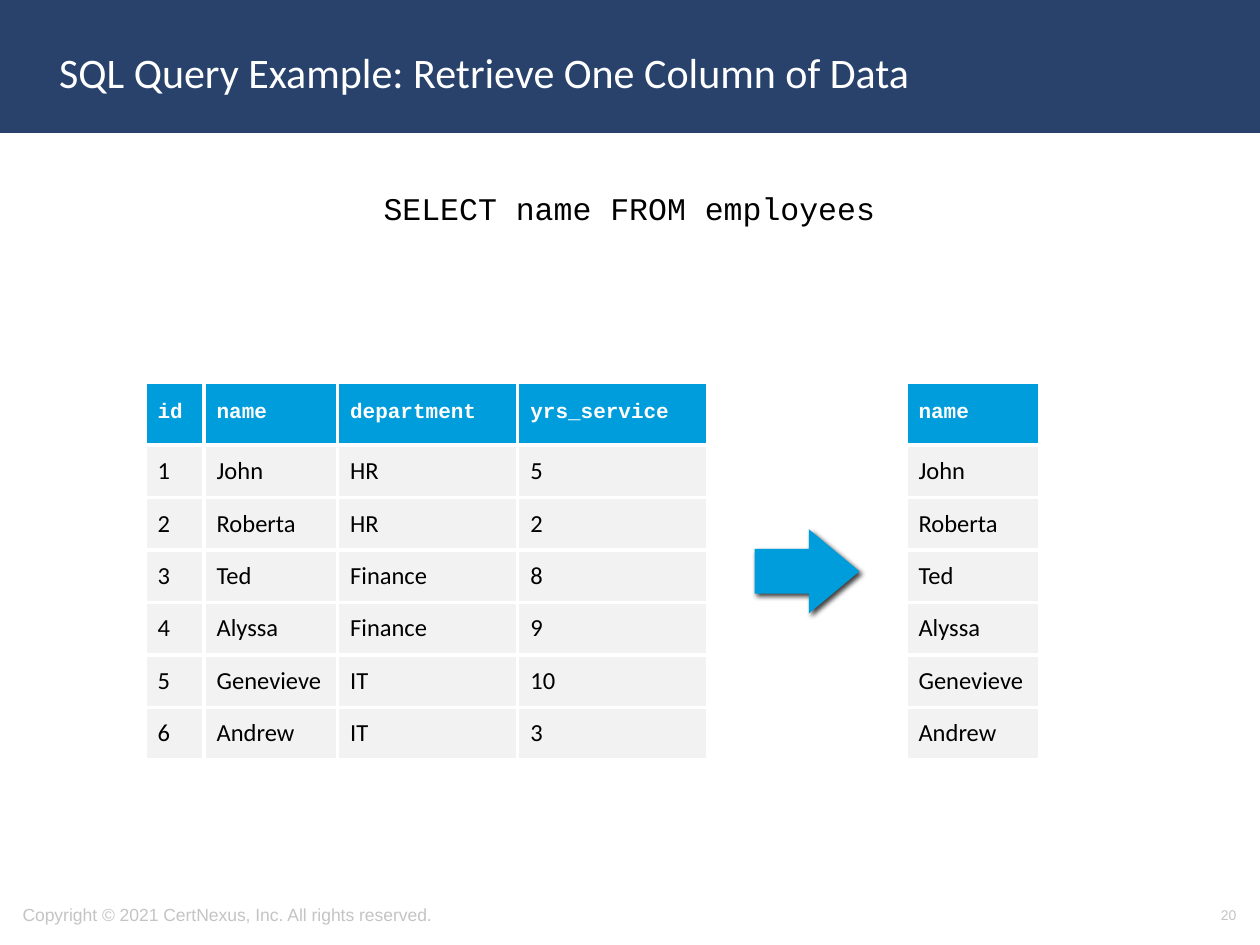
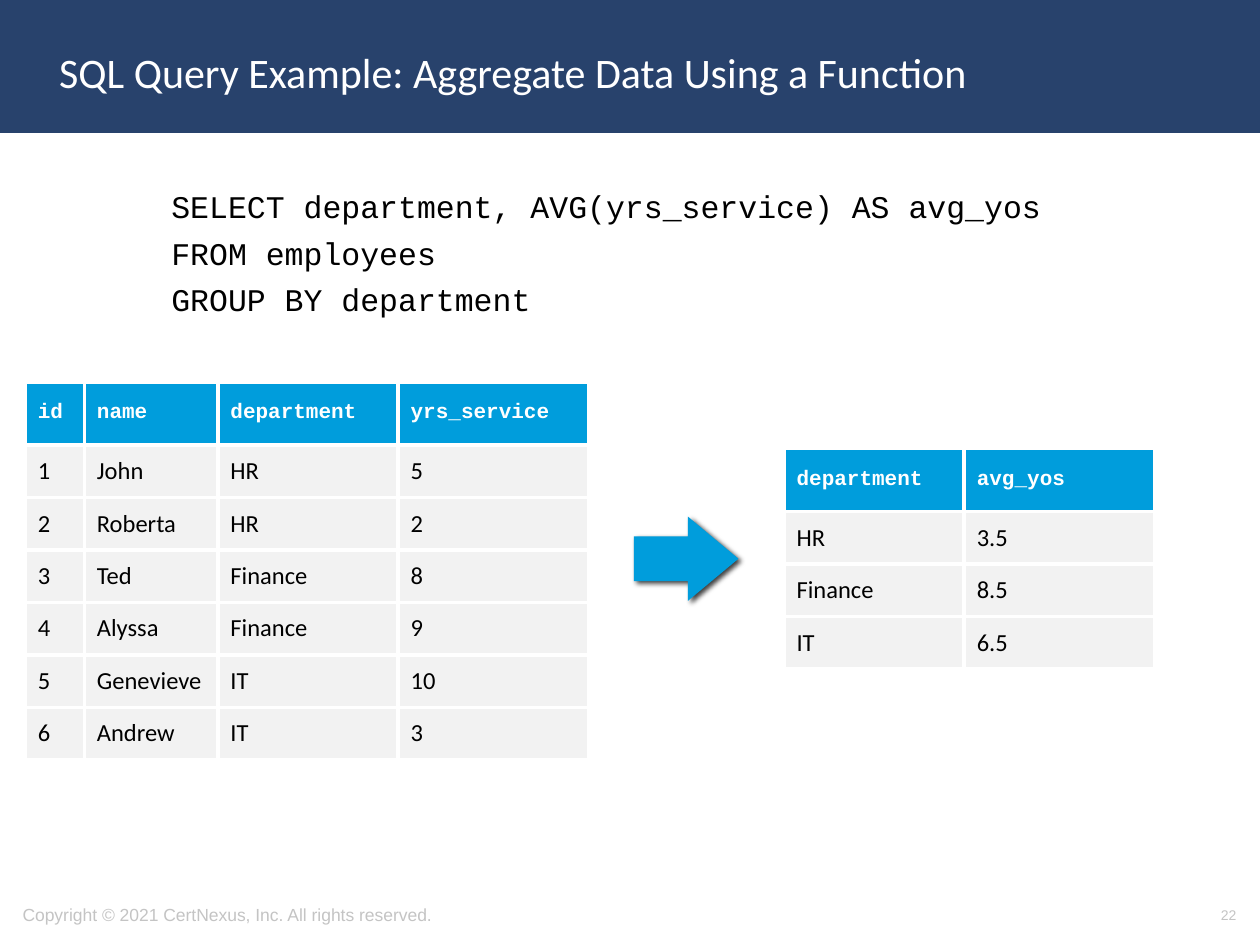
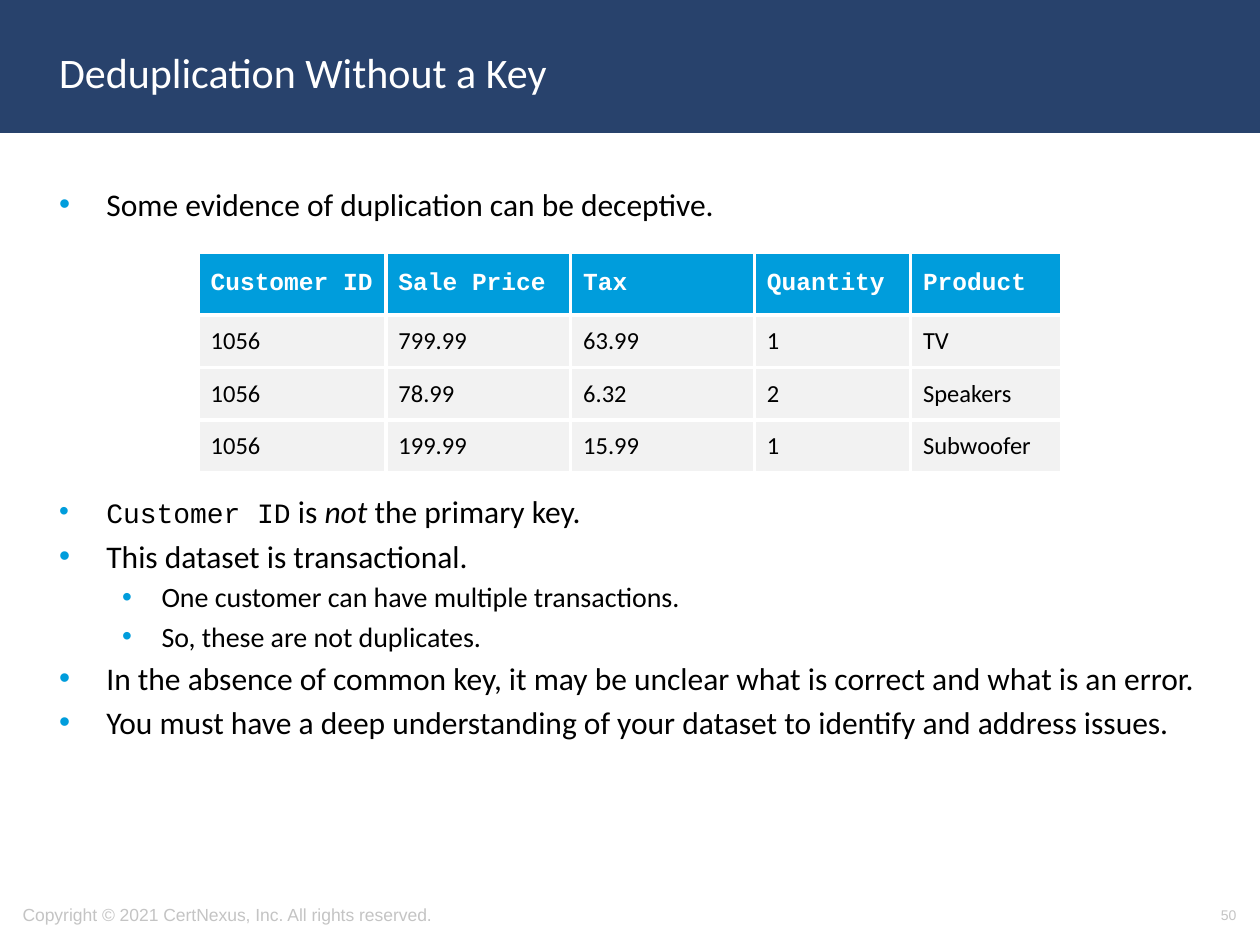
"""Build three slides on queries and data cleanup."""
from typing import NamedTuple

from pptx import Presentation
from pptx.dml.color import RGBColor
from pptx.enum.shapes import MSO_SHAPE as Form
from pptx.enum.text import MSO_ANCHOR as Anchor, MSO_AUTO_SIZE as Fit, PP_ALIGN as Align
from pptx.oxml import parse_xml
from pptx.oxml.ns import nsdecls, qn
from pptx.util import Pt

NAVY, BLUE, PALE, GREY = "28426C", "009DDC", "F2F2F2", "C4C4C4"
WHITE, BLACK = "FFFFFF", "000000"
SANS, MONO, PLAIN = "Calibri", "Courier New", "Arial"
HEAD_HIGH, ROW_HIGH = 36, 30
FOOT_TOP, FOOT_HIGH = 508.3, 28.8


class Box(NamedTuple):
    """A place on the slide, in points."""
    left: float
    top: float
    wide: float
    high: float


class Look(NamedTuple):
    """The look of a stretch of text."""
    face: str
    size: float
    tint: str = BLACK
    bold: bool = False


class Grid(NamedTuple):
    """A table with its place, columns and rows."""
    left: float
    top: float
    cols: list[float]
    rows: list[list[str]]
    head: float = 12


class Span(NamedTuple):
    """A run of text that may differ from its paragraph."""
    text: str
    face: str = ""
    size: float = 0
    slant: bool = False


class Item(NamedTuple):
    """A list item with its level and the space before it."""
    spans: list[Span]
    level: int = 0
    gap: float | None = None


TITLE = Box(26.6, 7.9, 620.6, 66.2)
BODY = Box(26.6, 102.2, 666, 387.4)
STAFF_COLS = [33.8, 76.3, 103, 108.7]
STAFF = [
    ["id", "name", "department", "yrs_service"],
    ["1", "John", "HR", "5"],
    ["2", "Roberta", "HR", "2"],
    ["3", "Ted", "Finance", "8"],
    ["4", "Alyssa", "Finance", "9"],
    ["5", "Genevieve", "IT", "10"],
    ["6", "Andrew", "IT", "3"],
]
MEANS = [["department", "avg_yos"], ["HR", "3.5"], ["Finance", "8.5"], ["IT", "6.5"]]
SALES = [
    ["Customer ID", "Sale Price", "Tax", "Quantity", "Product"],
    ["1056", "799.99", "63.99", "1", "TV"],
    ["1056", "78.99", "6.32", "2", "Speakers"],
    ["1056", "199.99", "15.99", "1", "Subwoofer"],
]
POINTS = [
    Item([Span("Some evidence of duplication can be deceptive.")]),
    Item([Span("Customer ID", MONO, 16), Span(" is "), Span("not", slant=True),
          Span(" the primary key.")], gap=154),
    Item([Span("This dataset is transactional.")]),
    Item([Span("One customer can have multiple transactions.")], 1),
    Item([Span("So, these are not duplicates.")], 1),
    Item([Span("In the absence of common key, it may be unclear "
               "what is correct and what is an error.")]),
    Item([Span("You must have a deep understanding of your dataset "
               "to identify and address issues.")]),
]


def hue(code: str) -> RGBColor:
    """Turn a hex string into a colour."""
    return RGBColor.from_string(code)


def pts(box: Box) -> list[Pt]:
    """Turn a box into lengths."""
    return [Pt(side) for side in box]


def paint(para, look: Look) -> None:
    """Set the font of a paragraph."""
    font = para.font
    font.name, font.size, font.bold = look.face, Pt(look.size), look.bold
    font.color.rgb = hue(look.tint)


def place(shape, box: Box) -> None:
    """Move a placeholder and stop it from shrinking its text."""
    shape.left, shape.top, shape.width, shape.height = pts(box)
    shape.text_frame.auto_size = Fit.NONE


def label(slide, box: Box, text: str, look: Look, align: Align = Align.LEFT):
    """Add a line of text in a box."""
    shape = slide.shapes.add_textbox(*pts(box))
    frame = shape.text_frame
    frame.word_wrap, frame.vertical_anchor = True, Anchor.MIDDLE
    para = frame.paragraphs[0]
    para.text, para.alignment = text, align
    paint(para, look)
    return shape


def frame_deck(slide, layout) -> None:
    """Put the band and the copyright line on the layout."""
    band = slide.shapes.add_shape(Form.RECTANGLE, *pts(Box(0, 0, 720, 74.9)))
    band.shadow.inherit = False
    band.fill.solid()
    band.fill.fore_color.rgb = band.line.color.rgb = hue(NAVY)
    band.line.width = Pt(2)
    note = label(slide, Box(5.8, FOOT_TOP, 379.4, FOOT_HIGH),
                 "Copyright © 2021 CertNexus, Inc. All rights reserved.",
                 Look(PLAIN, 10, GREY))
    for part in (band, note):
        layout.shapes.element.append(part.element)


def start(deck, title: str, page: int):
    """Add a slide with its title and page number."""
    layout = deck.slide_layouts[1]
    slide = deck.slides.add_slide(layout)
    if len(deck.slides) == 1:
        frame_deck(slide, layout)
    head = slide.shapes.title
    place(head, TITLE)
    head.text_frame.vertical_anchor = Anchor.MIDDLE
    para = head.text_frame.paragraphs[0]
    para.text, para.alignment = title, Align.LEFT
    paint(para, Look(SANS, 24, WHITE))
    label(slide, Box(545.8, FOOT_TOP, 167.8, FOOT_HIGH), str(page),
          Look(PLAIN, 8, GREY), Align.RIGHT)
    return slide


def code(slide, box: Box, lines: list[str], align: Align = Align.LEFT) -> None:
    """Fill the body with lines of code."""
    body = slide.placeholders[1]
    place(body, box)
    frame = body.text_frame
    frame.margin_top = Pt(5.6)
    frame.text = "\n".join(lines)
    for rank, para in enumerate(frame.paragraphs):
        props = para._p.get_or_add_pPr()
        props.set("marL", "0")
        props.set("indent", "0")
        props.append(parse_xml(f"<a:buNone {nsdecls('a')}/>"))
        para.alignment = align
        para.space_before = Pt(4.8 if rank else 0)
        paint(para, Look(MONO, 18))


def bullets(slide, items: list[Item]) -> None:
    """Fill the body with a list."""
    body = slide.placeholders[1]
    place(body, BODY)
    frame = body.text_frame
    for rank, item in enumerate(items):
        para = frame.add_paragraph() if rank else frame.paragraphs[0]
        para.level = item.level
        props = para._p.get_or_add_pPr()
        for mark in (f'<a:buClr {nsdecls("a")}><a:srgbClr val="{BLUE}"/></a:buClr>',
                     f'<a:buFont {nsdecls("a")} typeface="{PLAIN}"/>',
                     f'<a:buChar {nsdecls("a")} char="•"/>'):
            props.append(parse_xml(mark))
        size = 16 if item.level else 18
        gap = 0.2 * size if item.gap is None else item.gap
        para.space_before = Pt(gap if rank else 0)
        paint(para, Look(SANS, size))
        for span in item.spans:
            run = para.add_run()
            run.text = span.text
            if span.face:
                run.font.name, run.font.size = span.face, Pt(span.size)
            if span.slant:
                run.font.italic = True


def fill_cell(cell, text: str, look: Look, back: str) -> None:
    """Write one cell with white edges and a plain fill."""
    props = cell._tc.get_or_add_tcPr()
    for side in "LRTB":
        props.append(parse_xml(
            f'<a:ln{side} {nsdecls("a")} w="{Pt(2.25)}"><a:solidFill>'
            f'<a:srgbClr val="{WHITE}"/></a:solidFill></a:ln{side}>'))
    cell.fill.solid()
    cell.fill.fore_color.rgb = hue(back)
    cell.vertical_anchor = Anchor.MIDDLE
    para = cell.text_frame.paragraphs[0]
    para.text = text
    paint(para, look)


def draw_grid(slide, grid: Grid) -> None:
    """Draw a table."""
    highs = [HEAD_HIGH] + [ROW_HIGH] * (len(grid.rows) - 1)
    box = Box(grid.left, grid.top, sum(grid.cols), sum(highs))
    table = slide.shapes.add_table(len(highs), len(grid.cols), *pts(box)).table
    for col, wide in zip(table.columns, grid.cols):
        col.width = Pt(wide)
    for row, high in zip(table.rows, highs):
        row.height = Pt(high)
    head, plain = Look(MONO, grid.head, WHITE, True), Look(SANS, 14)
    for down, texts in enumerate(grid.rows):
        look, back = (plain, PALE) if down else (head, BLUE)
        for across, text in enumerate(texts):
            fill_cell(table.cell(down, across), text, look, back)


def arrow(slide, left: float, top: float) -> None:
    """Draw the arrow from source to result."""
    shape = slide.shapes.add_shape(Form.RIGHT_ARROW, *pts(Box(left, top, 59.8, 48.2)))
    shape.adjustments[0], shape.adjustments[1] = 0.53, 0.6
    shape.fill.solid()
    shape.fill.fore_color.rgb = hue(BLUE)
    shape.line.fill.background()
    shape.shadow.inherit = False
    shape.element.spPr.find(qn("a:effectLst")).append(parse_xml(
        f'<a:outerShdw {nsdecls("a")} blurRad="{Pt(3)}" dist="{Pt(2)}" dir="2700000">'
        f'<a:srgbClr val="{BLACK}"><a:alpha val="75000"/></a:srgbClr></a:outerShdw>'))


def main() -> None:
    """Build and save the deck."""
    deck = Presentation()
    deck.slide_width, deck.slide_height = Pt(720), Pt(540)

    slide = start(deck, "SQL Query Example: Retrieve One Column of Data", 20)
    code(slide, BODY, ["SELECT name FROM employees"], Align.CENTER)
    draw_grid(slide, Grid(82.8, 218.2, STAFF_COLS, STAFF))
    draw_grid(slide, Grid(517.7, 218.2, STAFF_COLS[1:2], [row[1:2] for row in STAFF]))
    arrow(slide, 431.3, 302.4)

    slide = start(deck, "SQL Query Example: Aggregate Data Using a Function", 22)
    code(slide, Box(90.7, 101.5, 537.8, 387.4),
         ["SELECT department, AVG(yrs_service) AS avg_yos",
          "FROM employees", "GROUP BY department"])
    draw_grid(slide, Grid(14.4, 218.2, STAFF_COLS, STAFF))
    draw_grid(slide, Grid(448, 256.3, STAFF_COLS[2:], MEANS))
    arrow(slide, 362.2, 295.2)

    slide = start(deck, "Deduplication Without a Key", 50)
    bullets(slide, POINTS)
    draw_grid(slide, Grid(113.2, 144, [107.3, 105.6, 105, 89.2, 86.2], SALES, 14))

    deck.save("out.pptx")


if __name__ == "__main__":
    main()
